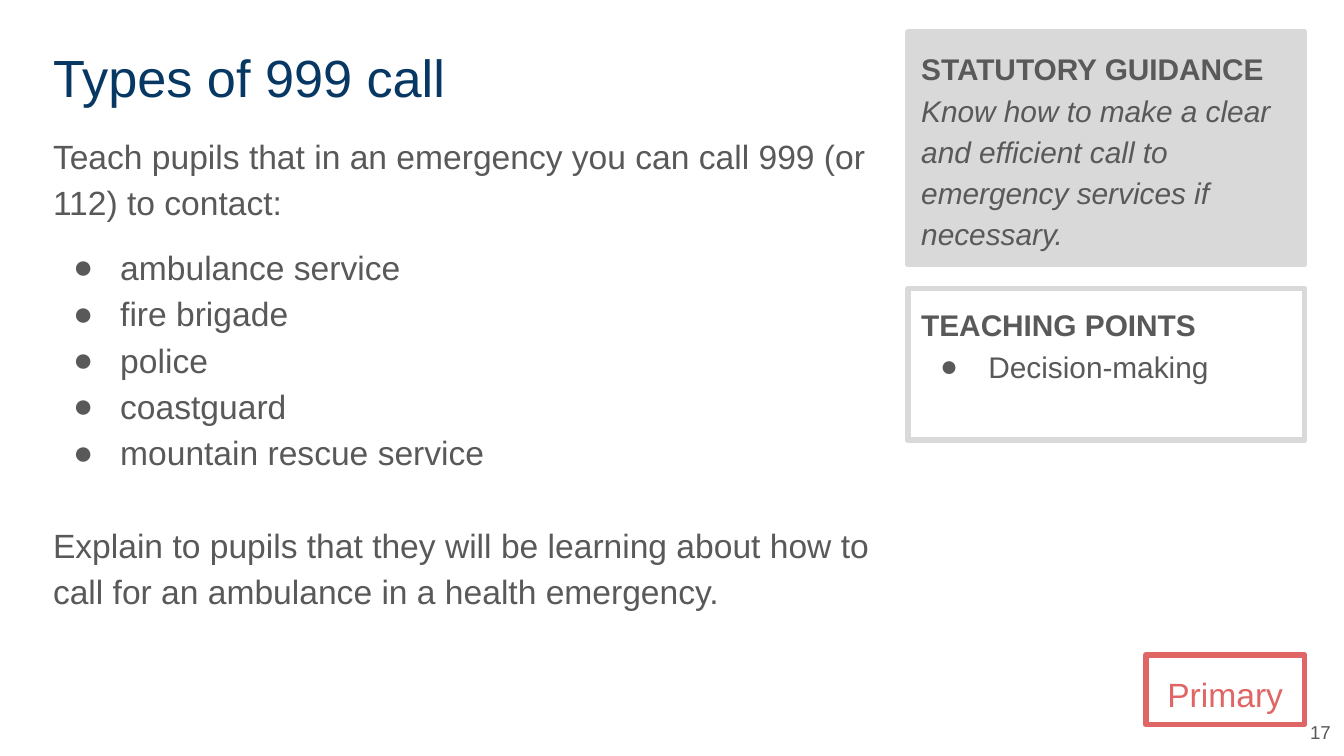
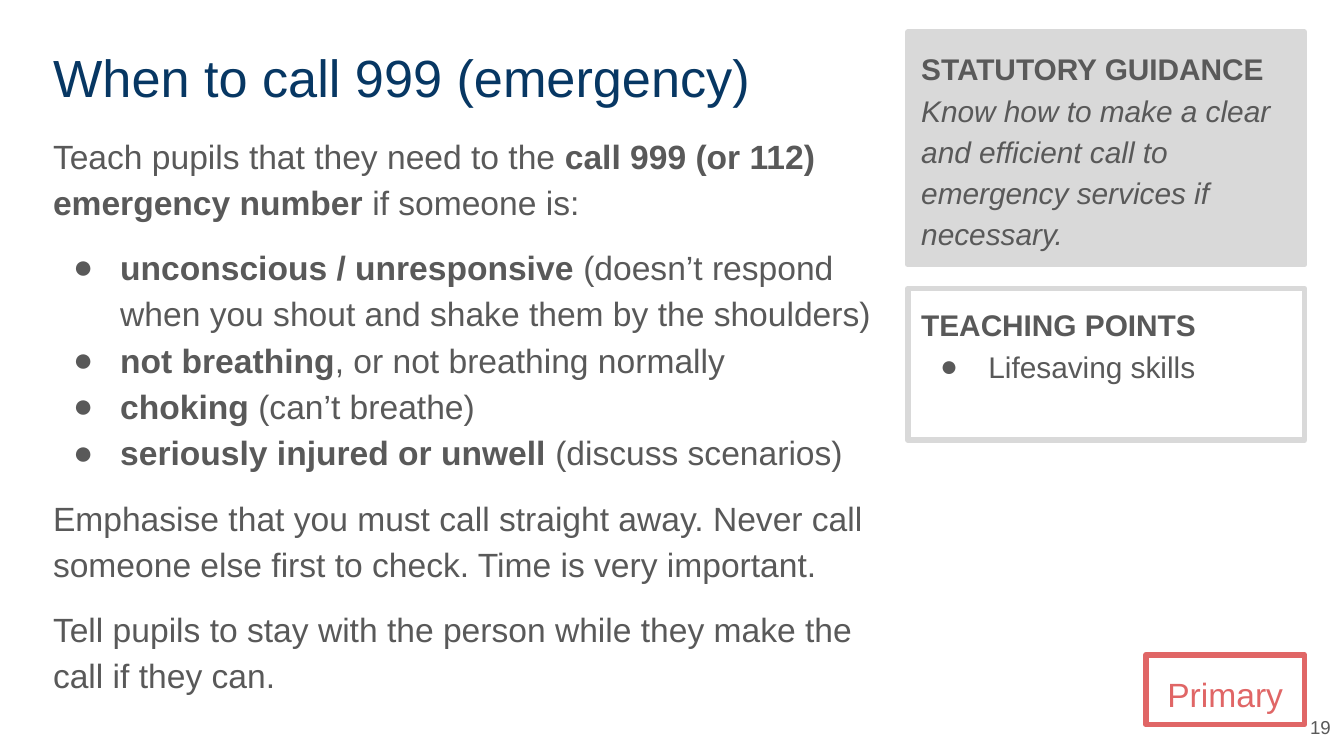
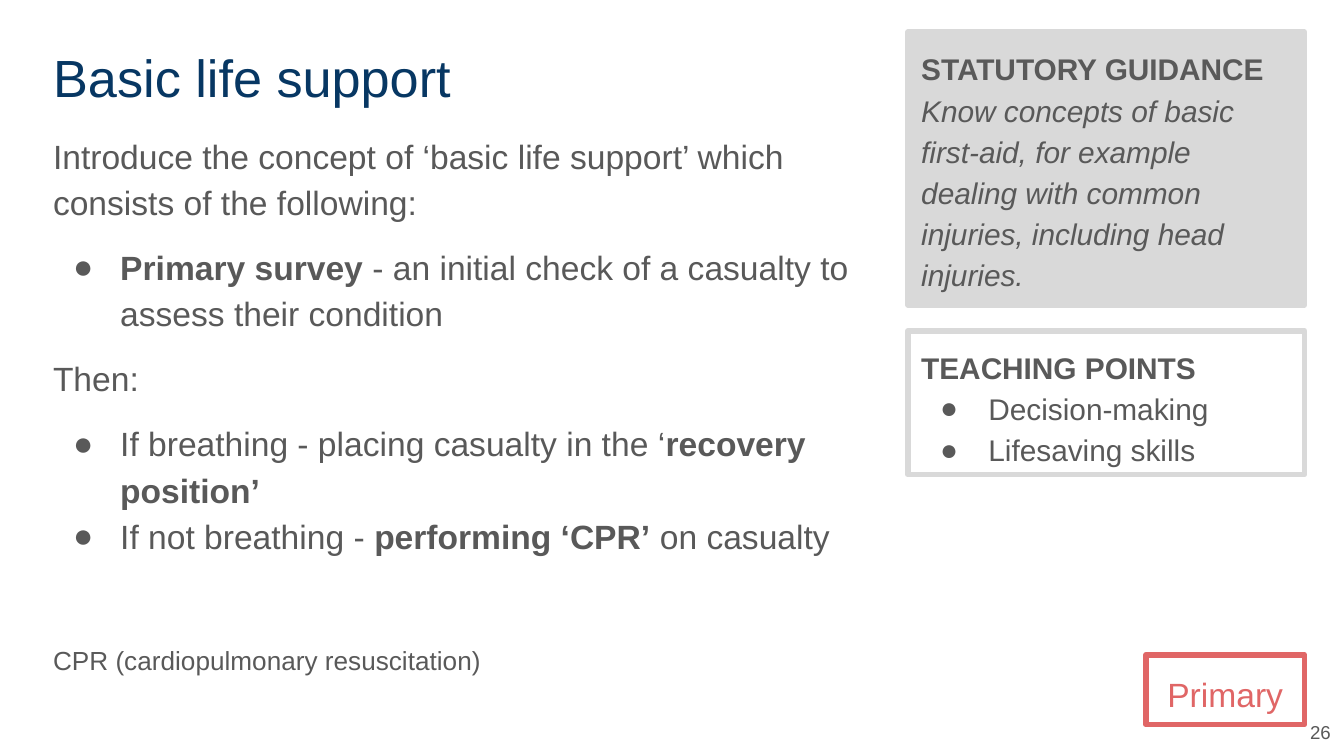
from lxml import etree
from pptx import Presentation
from pptx.dml.color import RGBColor
from pptx.enum.shapes import MSO_SHAPE
from pptx.enum.text import MSO_ANCHOR, MSO_AUTO_SIZE, PP_ALIGN
from pptx.oxml.ns import qn
from pptx.util import Inches, Pt

RECT = MSO_SHAPE.RECTANGLE
TOP, MIDDLE = MSO_ANCHOR.TOP, MSO_ANCHOR.MIDDLE
LEFT, CENTER, RIGHT = PP_ALIGN.LEFT, PP_ALIGN.CENTER, PP_ALIGN.RIGHT

WIDTH = Inches(10)
HEIGHT = WIDTH * 9 // 16
CELL = WIDTH // 100  # square grid, 100 columns across the slide
MARGIN, HEAD = 2.96, 2.4
SIDE, SPAN = 67.56, 29.5
FONT = "Arial"
COLORS = {"title": "073763", "text": "595959", "panel": "D9D9D9", "badge": "E06666"}

CALL = "Know how to make a clear and efficient call to emergency services if necessary."
AID = ("Know concepts of basic first-aid, for example dealing with common injuries, "
       "including head injuries.")

# Asterisks enclose bold words.
SLIDES = [
    {
        "title": "Types of 999 call", "wide": (64.1, 63.2),
        "body": [
            {"text": "Teach pupils that in an emergency you can call 999 (or 112) to contact:"},
            {"text": "ambulance service", "indent": 0.35, "before": 10},
            {"text": "fire brigade", "indent": 0.35},
            {"text": "police", "indent": 0.35},
            {"text": "coastguard", "indent": 0.35},
            {"text": "mountain rescue service", "indent": 0.35},
            {"text": "Explain to pupils that they will be learning about how to call for "
                     "an ambulance in a health emergency.", "before": 24.8},
        ],
        "guide": CALL, "guide_rows": 17.3,
        "points": ["Decision-making"], "point_rows": (21.46, 11.3),
        "number": "17", "number_rows": (52.6, 3.7),
    },
    {
        "title": "When to call 999 (emergency)", "wide": (65.7, 64.1),
        "body": [
            {"text": "Teach pupils that they need to the *call 999 (or 112) emergency "
                     "number* if someone is:"},
            {"text": "*unconscious / unresponsive *(doesn’t respond when you shout and "
                     "shake them by the shoulders)", "indent": 0.35, "before": 10},
            {"text": "*not breathing*, or not breathing normally", "indent": 0.35},
            {"text": "*choking* (can’t breathe)", "indent": 0.35},
            {"text": "*seriously injured or unwell *(discuss scenarios)", "indent": 0.35},
            {"text": "Emphasise that you must call straight away. Never call someone else "
                     "first to check. Time is very important.", "before": 10},
            {"text": "Tell pupils to stay with the person while they make the call if "
                     "they can.", "before": 10},
        ],
        "guide": CALL, "guide_rows": 17.3,
        "points": ["Lifesaving skills"], "point_rows": (21.46, 11.3),
        "number": "19", "number_rows": (52.4, 3.4),
    },
    {
        "title": "Basic life support", "wide": (64.1, 63.2),
        "body": [
            {"text": "Introduce the concept of ‘basic life support’ which consists of "
                     "the following:"},
            {"text": "*Primary survey* - an initial check of a casualty to assess their "
                     "condition", "indent": 0.35, "before": 10},
            {"text": "Then:", "before": 10},
            {"text": "If breathing - placing casualty in the ‘*recovery position’*",
             "indent": 0.35, "before": 10},
            {"text": "If not breathing - *performing ‘CPR’* on casualty", "indent": 0.35},
            {"text": "CPR (cardiopulmonary resuscitation)", "size": 14, "before": 44.8},
        ],
        "guide": AID, "guide_rows": 20.3,
        "points": ["Decision-making", "Lifesaving skills"], "point_rows": (24.62, 10.7),
        "number": "26", "number_rows": (52.6, 3.7),
    },
]


def color(name):
    return RGBColor.from_string(COLORS[name])


def cells(*counts):
    return [int(count * CELL) for count in counts]


def set_frame(shape, anchor=TOP):
    frame = shape.text_frame
    inset = Inches(0.1)
    styles = {"word_wrap": True, "auto_size": MSO_AUTO_SIZE.NONE,
              "vertical_anchor": anchor, "margin_left": inset, "margin_right": inset,
              "margin_top": inset, "margin_bottom": inset}
    for name, value in styles.items():
        setattr(frame, name, value)
    return frame


def add_run(para, text, size, tint, bold=False, italic=False):
    run = para.add_run()
    run.text = text
    styles = {"name": FONT, "size": Pt(size), "bold": bold, "italic": italic}
    for name, value in styles.items():
        setattr(run.font, name, value)
    run.font.color.rgb = color(tint)


def add_bullet(para, indent):
    props = para._p.get_or_add_pPr()
    props.set("marL", str(Inches(0.5)))
    props.set("indent", str(-Inches(indent)))
    tint = etree.SubElement(props, qn("a:buClr"))
    etree.SubElement(tint, qn("a:srgbClr"), val=COLORS["text"])
    etree.SubElement(props, qn("a:buFont"), typeface=FONT)
    etree.SubElement(props, qn("a:buChar"), char="●")


def add_para(frame, text, size=18, tint="text", align=LEFT, before=0, indent=0, line=1.15):
    """Fill the first paragraph if it is free, else append one."""
    para = frame.paragraphs[0] if not frame.text else frame.add_paragraph()
    styles = {"alignment": align, "line_spacing": line,
              "space_before": Pt(before), "space_after": Pt(0)}
    for name, value in styles.items():
        setattr(para, name, value)
    if indent:
        add_bullet(para, indent)
    for place, part in enumerate(text.split("*")):
        if part:
            add_run(para, part, size, tint, bold=place % 2 == 1)
    return para


def add_text(slide, box, anchor=TOP):
    return set_frame(slide.shapes.add_textbox(*cells(*box)), anchor)


def add_panel(slide, box, edge, fill=None):
    shape = slide.shapes.add_shape(RECT, *cells(*box))
    shape.shadow.inherit = False
    if fill:
        shape.fill.solid()
        shape.fill.fore_color.rgb = color(fill)
    else:
        shape.fill.background()
    shape.line.color.rgb = color(edge)
    shape.line.width = Pt(3)
    etree.SubElement(shape._element.spPr.find(qn("a:ln")), qn("a:round"))
    return set_frame(shape)


def set_title(slide, text, wide):
    title = slide.shapes.title
    title.left, title.top, title.width, title.height = cells(MARGIN, HEAD, wide, 6.3)
    add_para(set_frame(title), text, 28, "title", line=1)


def add_guide(slide, text, rows):
    frame = add_panel(slide, (SIDE, HEAD, SPAN, rows), "panel", "panel")
    para = add_para(frame, "*STATUTORY GUIDANCE*", 16)
    para.add_line_break()
    etree.SubElement(para._p[-1], qn("a:rPr"), sz="1600")
    add_run(para, text, 16, "text", italic=True)


def add_points(slide, points, top, rows):
    frame = add_panel(slide, (SIDE, top, SPAN, rows), "panel")
    add_para(frame, "*TEACHING POINTS*", 16)
    for point in points:
        add_para(frame, point, 16, indent=0.36)


def add_slide(deck, data):
    slide = deck.slides.add_slide(deck.slide_layouts[5])
    head, body = data["wide"]
    set_title(slide, data["title"], head)
    frame = add_text(slide, (MARGIN, 8.64, body, 40.1))
    for item in data["body"]:
        add_para(frame, **item)
    add_guide(slide, data["guide"], data["guide_rows"])
    top, rows = data["number_rows"]
    frame = add_text(slide, (96.1, top, 3.9, rows), MIDDLE)
    add_para(frame, data["number"], 10, align=RIGHT, line=1)
    frame = add_panel(slide, (85.26, 48.72, 11.8, 5.2), "badge")
    add_para(frame, "Primary", 18, "badge", CENTER)
    add_points(slide, data["points"], *data["point_rows"])


def main():
    deck = Presentation()
    deck.slide_width, deck.slide_height = WIDTH, HEIGHT
    for data in SLIDES:
        add_slide(deck, data)
    deck.save("out.pptx")


if __name__ == "__main__":
    main()
